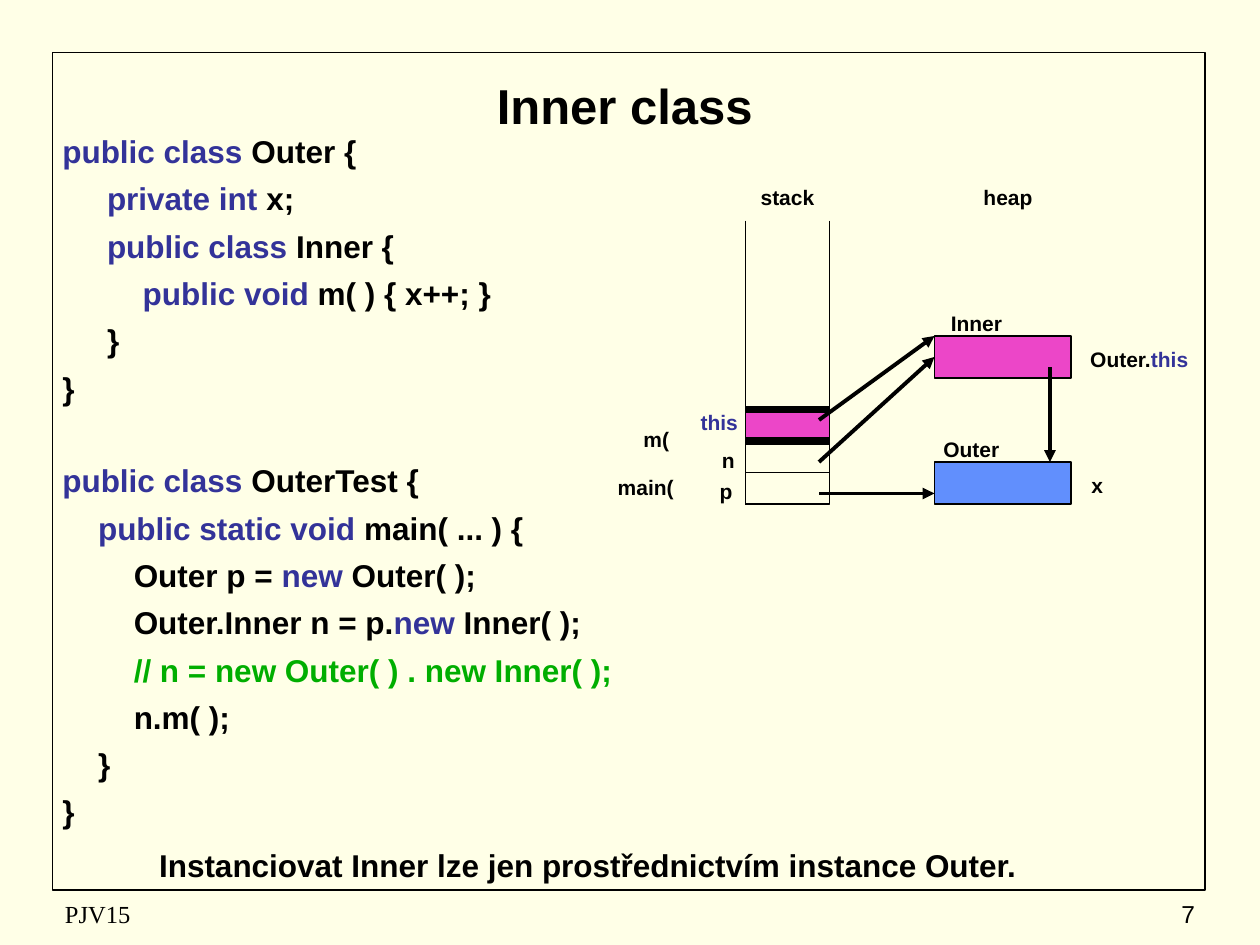
from lxml import etree
from pptx import Presentation
from pptx.dml.color import RGBColor
from pptx.enum.shapes import MSO_CONNECTOR, MSO_SHAPE
from pptx.enum.text import MSO_ANCHOR, PP_ALIGN
from pptx.oxml.ns import qn
from pptx.util import Cm, Pt

COLORS = {
    "paper": "FFFFE7",
    "ink": "000000",
    "keyword": "333399",
    "comment": "00AE00",
    "inner": "EC46C8",
    "outer": "618FFD",
}
GRID = 2.54 / 12  # the layout grid in cm: 12 steps to the inch


def steps(count):
    return Cm(count * GRID)


def rgb(name):
    return RGBColor.from_string(COLORS[name])


class SlideBuilder:
    """Holds the text style and the current slide; positions are grid steps."""

    def __init__(self, slide, font="Arial"):
        self.slide = slide
        self.font = font

    def background(self, color):
        fill = self.slide.background.fill
        fill.solid()
        fill.fore_color.rgb = rgb(color)

    def box(self, left, top, width, height, fill=None, line=0.75):
        shape = self.slide.shapes.add_shape(
            MSO_SHAPE.RECTANGLE, *map(steps, (left, top, width, height)))
        shape.shadow.inherit = False
        if fill:
            shape.fill.solid()
            shape.fill.fore_color.rgb = rgb(fill)
        else:
            shape.fill.background()
        shape.line.color.rgb = rgb("ink")
        shape.line.width = Pt(line)

    def line(self, start, end, width=0.75, arrow=False):
        connector = self.slide.shapes.add_connector(
            MSO_CONNECTOR.STRAIGHT, *map(steps, (*start, *end)))
        connector.line.color.rgb = rgb("ink")
        connector.line.width = Pt(width)
        properties = connector._element.spPr
        if arrow:
            outline = properties.find(qn("a:ln"))
            etree.SubElement(outline, qn("a:tailEnd"), type="triangle")
        etree.SubElement(properties, qn("a:effectLst"))

    def add_runs(self, paragraph, parts, size, bold):
        """Fill a paragraph with (text, color) parts."""
        for text, color in parts:
            run = paragraph.add_run()
            run.text = text
            run.font.name = self.font
            run.font.size = Pt(size)
            run.font.bold = bold
            run.font.color.rgb = rgb(color)

    def frame(self, left, top, width, height, anchor=MSO_ANCHOR.TOP):
        text_frame = self.slide.shapes.add_textbox(
            *map(steps, (left, top, width, height))).text_frame
        text_frame.word_wrap = True
        text_frame.vertical_anchor = anchor
        return text_frame

    def text(self, area, parts, size=12, bold=True, align=PP_ALIGN.CENTER,
             anchor=MSO_ANCHOR.TOP):
        paragraph = self.frame(*area, anchor).paragraphs[0]
        paragraph.alignment = align
        self.add_runs(paragraph, parts, size, bold)

    def code(self, area, lines, size=18):
        """Each line is (indent in characters, space before, parts)."""
        text_frame = self.frame(*area)
        for number, (indent, before, parts) in enumerate(lines):
            paragraph = (text_frame.add_paragraph() if number
                         else text_frame.paragraphs[0])
            paragraph.space_before = Pt(before)
            margin = Cm(0.16 + indent * 0.18)
            paragraph._p.get_or_add_pPr().set("marL", str(margin))
            self.add_runs(paragraph, parts, size, True)


def key(text):
    return text, "keyword"


def ink(text):
    return text, "ink"


LINE_GAP, CLASS_GAP = 5.4, 31.5
CODE = [
    (0, LINE_GAP, [key("public class"), ink(" Outer {")]),
    (5, LINE_GAP, [key("private int"), ink(" x;")]),
    (5, LINE_GAP, [key("public class "), ink("Inner {")]),
    (9, LINE_GAP, [key("public void"), ink(" m( ) { x++; }")]),
    (5, LINE_GAP, [ink("}")]),
    (0, LINE_GAP, [ink("}")]),
    (0, CLASS_GAP, [key("public class "), ink("OuterTest {")]),
    (4, LINE_GAP, [key("public static void"), ink(" main( ... ) {")]),
    (8, LINE_GAP, [ink("Outer p = "), key("new "), ink("Outer( );")]),
    (8, LINE_GAP, [ink("Outer.Inner n = p."), key("new "), ink("Inner( );")]),
    (8, LINE_GAP, [("// n = new Outer( ) . new Inner( );", "comment")]),
    (8, LINE_GAP, [ink("n.m( );")]),
    (4, LINE_GAP, [ink("}")]),
    (0, LINE_GAP, [ink("}")]),
]

# Left, top, width and parts of each diagram label
LABELS = [
    (57, 44.65, 9, [ink("main(")]),
    (58, 40, 9, [ink("m(")]),
    (64.65, 45, 9, [ink("p")]),
    (64.85, 42, 9, [ink("n")]),
    (64, 38.4, 9, [key("this")]),
    (88, 41, 9, [ink("Outer")]),
    (87, 29, 12, [ink("Inner")]),
    (100, 44.4, 9, [ink("x")]),
    (101, 32.4, 15, [ink("Outer."), key("this")]),
    (71, 17, 8, [ink("stack")]),
    (92, 17, 8, [ink("heap")]),
]

STACK_LEFT, STACK_RIGHT, STACK_TOP, STACK_BOTTOM = 71, 79, 21, 48
STACK_WIDTH = STACK_RIGHT - STACK_LEFT
HEAP_LEFT, HEAP_WIDTH, OBJECT_HEIGHT = 89, 13, 4
INNER_TOP, OUTER_TOP = 32, 44


def main():
    deck = Presentation()
    deck.slide_width, deck.slide_height = steps(120), steps(90)
    page = SlideBuilder(deck.slides.add_slide(deck.slide_layouts[6]))

    # Page frame and footer
    page.background("paper")
    page.box(5, 5, 109.8, 79.8, line=1)
    SlideBuilder(page.slide, "Times New Roman").text(
        (5, 85, 38, 4), [ink("PJV15")], 14, False, PP_ALIGN.LEFT,
        MSO_ANCHOR.MIDDLE)
    page.text((90, 85, 25, 4), [ink("7")], 14, False, PP_ALIGN.RIGHT,
              MSO_ANCHOR.MIDDLE)

    # Title, code and conclusion
    page.text((6, 6, 107, 8), [ink("Inner class")], 28,
              anchor=MSO_ANCHOR.MIDDLE)
    page.code((4, 12, 58, 66), CODE)
    page.text((5, 80, 102, 4.8), [
        ink("Instanciovat Inner lze jen prostřednictvím instance Outer.")], 18)

    # Stack with its frames
    page.box(STACK_LEFT, 39, STACK_WIDTH, 3, "inner")
    page.box(STACK_LEFT, 42, STACK_WIDTH, 6)
    for side in (STACK_LEFT, STACK_RIGHT):
        page.line((side, STACK_TOP), (side, STACK_BOTTOM))
    for level, width in ((STACK_BOTTOM, 0.75), (45, 1), (42, 4.5), (39, 4.5)):
        page.line((STACK_LEFT, level), (STACK_RIGHT, level), width)

    # Heap objects
    for top, color in ((INNER_TOP, "inner"), (OUTER_TOP, "outer")):
        page.box(HEAP_LEFT, top, HEAP_WIDTH, OBJECT_HEIGHT, color)

    # References
    for start, end in (
        ((78, 47), (HEAP_LEFT, 47)),
        ((78, 44), (HEAP_LEFT, 34)),
        ((78, 40), (HEAP_LEFT, INNER_TOP)),
        ((100, 35), (100, OUTER_TOP)),
    ):
        page.line(start, end, 2.25, arrow=True)

    # Diagram labels
    for left, top, width, parts in LABELS:
        page.text((left, top, width, 3.6), parts)

    deck.save("out.pptx")


if __name__ == "__main__":
    main()
